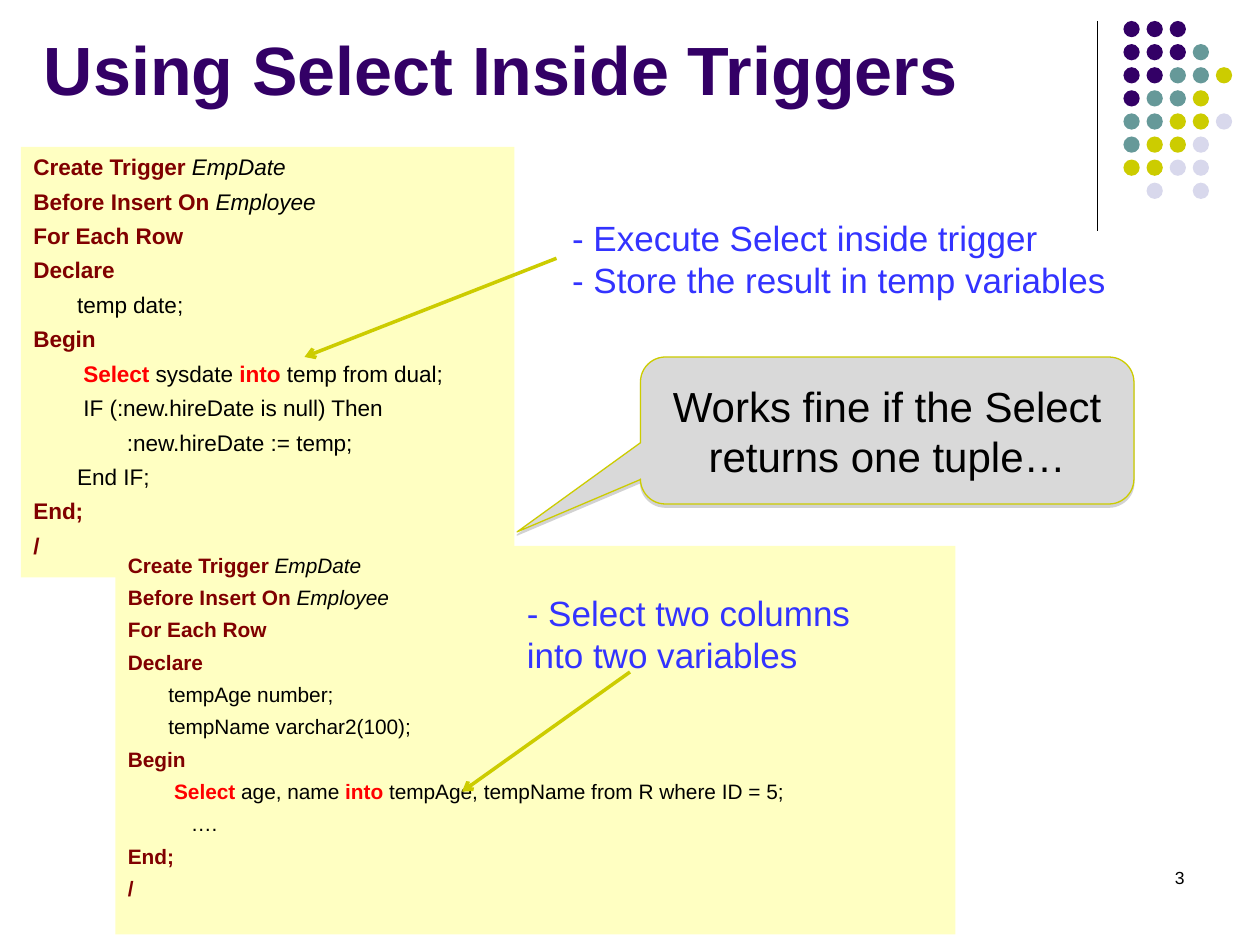
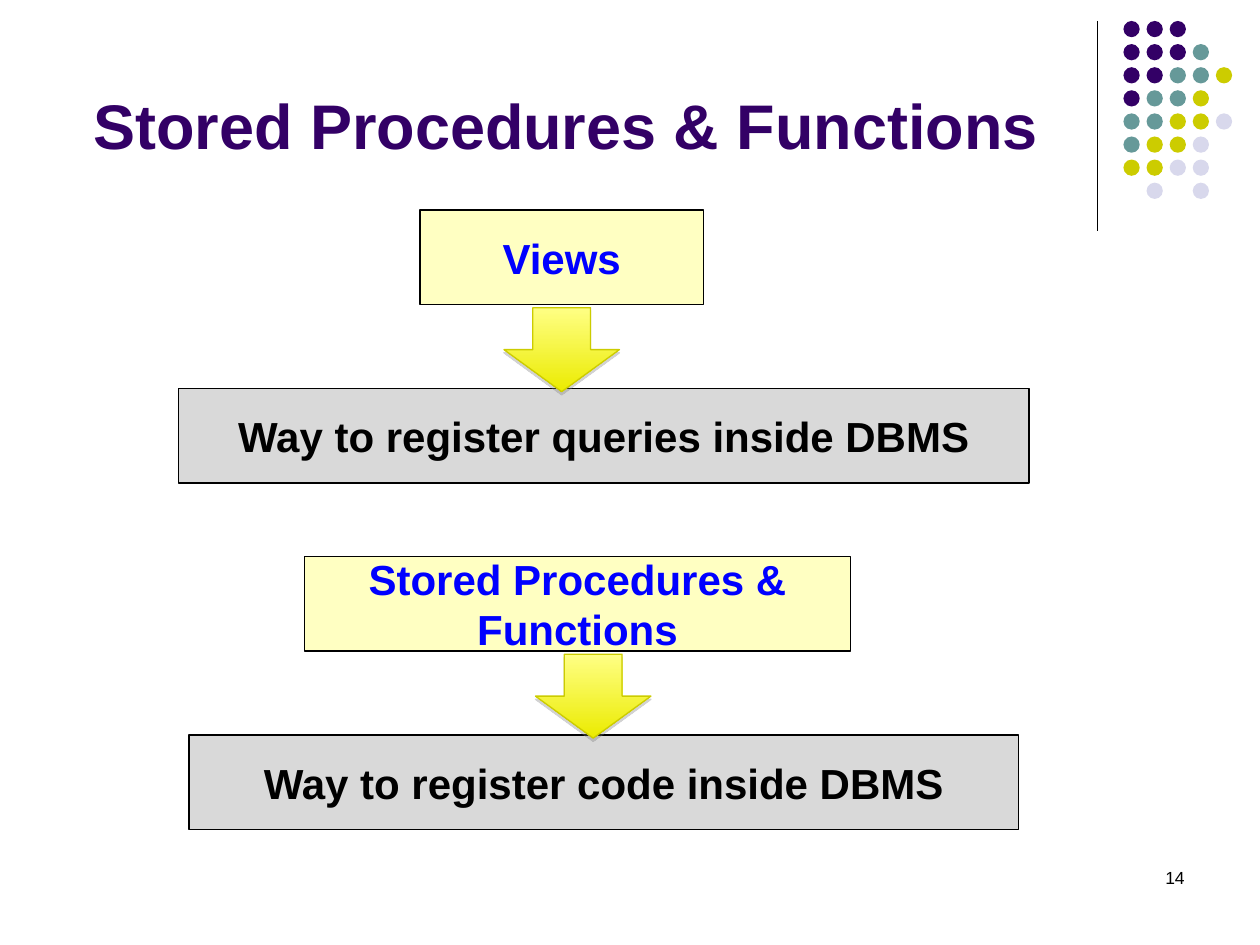
"""Build two slides on selecting inside triggers and on stored procedures."""
from lxml import etree
from pptx import Presentation, util as u
from pptx.dml.color import RGBColor
from pptx.enum import shapes, text
from pptx.oxml import ns

PLUM = RGBColor(0x33, 0x00, 0x66)
TEAL = RGBColor(0x66, 0x99, 0x99)
OLIVE = RGBColor(0xCC, 0xCC, 0x00)
MIST = RGBColor(0xD8, 0xD8, 0xEC)
CREAM = RGBColor(0xFF, 0xFF, 0xC2)
GREY = RGBColor(0xD9, 0xD9, 0xD9)
LEMON = RGBColor(0xFF, 0xFF, 0x85)
GOLD = RGBColor(0xEB, 0xEB, 0x00)
BLACK = RGBColor(0x00, 0x00, 0x00)
MAROON = RGBColor(0x80, 0x00, 0x00)
RED = RGBColor(0xFF, 0x00, 0x00)
BLUE = RGBColor(0x00, 0x00, 0xFF)
INDIGO = RGBColor(0x33, 0x33, 0xFF)

DOTS = ["PPP", "PPPT", "PPTTO", "PTTO", "TTOOM", "TOOM", "OOMM", " M M"]
TINTS = {"P": PLUM, "T": TEAL, "O": OLIVE, "M": MIST}

CODE = {
    "key": {"color": MAROON, "bold": True},
    "hot": {"color": RED, "bold": True},
    "name": {"italic": True},
    "text": {},
}
HEAD = [
    [("key", "Create Trigger "), ("name", "EmpDate")],
    [("key", "Before Insert On "), ("name", "Employee")],
    [("key", "For Each Row")],
    [("key", "Declare")],
]
BEGIN = [("key", "Begin")]
TAIL = [[("key", "End;")], [("key", "/")]]
DATE = HEAD + [
    [("text", "       temp date;")],
    BEGIN,
    [("text", "        "), ("hot", "Select"), ("text", " sysdate "),
     ("hot", "into"), ("text", " temp from dual;")],
    [("text", "        IF (:new.hireDate is null) Then")],
    [("text", "               :new.hireDate := temp;")],
    [("text", "       End IF;")],
] + TAIL
PAIR = HEAD + [
    [("text", "       tempAge number;")],
    [("text", "       tempName varchar2(100);")],
    BEGIN,
    [("text", "        "), ("hot", "Select "), ("text", "age, name "),
     ("hot", "into"), ("text", " tempAge, tempName from R where ID = 5;")],
    [("text", "\t….")],
] + TAIL

NOTES = ["- Execute Select inside trigger", "- Store the result in temp variables"]
FLOWS = [
    {"row": 20, "top": (40, 27, "Views"), "arrow": 48,
     "low": (17, 81, "Way to register queries inside DBMS")},
    {"row": 53, "top": (29, 52, "Stored Procedures & Functions"), "arrow": 51,
     "low": (18, 79, "Way to register code inside DBMS")},
]

MID, TOP, LOW = (text.MSO_ANCHOR.MIDDLE, text.MSO_ANCHOR.TOP, text.MSO_ANCHOR.BOTTOM)
LEFT, CENTER, RIGHT = (text.PP_ALIGN.LEFT, text.PP_ALIGN.CENTER, text.PP_ALIGN.RIGHT)
KIND = shapes.MSO_SHAPE


def grid(*cells):
    """Turn cells of a twelfth of an inch into lengths."""
    return [u.Inches(cell / 12) for cell in cells]


def style(font, color=BLACK, **form):
    """Set the font attributes of a run."""
    font.color.rgb = color
    for key, val in {"name": "Arial", "bold": False, **form}.items():
        setattr(font, key, val)


def write(shape, lines, size, align=LEFT, anchor=TOP, gap=0, wrap=True, **form):
    """Fill a shape with lines, each a string or a list of marked runs."""
    frame = shape.text_frame
    frame.word_wrap, frame.vertical_anchor = wrap, anchor
    for num, line in enumerate(lines):
        para = frame.add_paragraph() if num else frame.paragraphs[0]
        para.alignment = align
        para.space_before = u.Pt(gap if num else 0)
        for mark, words in [("text", line)] if isinstance(line, str) else line:
            run = para.add_run()
            run.text = words
            style(run.font, size=u.Pt(size), **{**form, **CODE[mark]})
    return shape


def label(slide, box, lines, size, **form):
    """Add a text box."""
    return write(slide.shapes.add_textbox(*grid(*box)), lines, size, **form)


def block(host, kind, box, fill, line=None):
    """Add a preset shape with a plain fill and an optional thin line."""
    shape = host.shapes.add_shape(kind, *grid(*box))
    shape.shadow.inherit = False
    shape.fill.solid()
    shape.fill.fore_color.rgb = fill
    if line is None:
        shape.line.fill.background()
    else:
        shape.line.color.rgb = line
        shape.line.width = u.Pt(0.75)
    return shape


def shade(shape):
    """Drop a short hard shadow below a shape."""
    fx = shape._element.spPr.find(ns.qn("a:effectLst"))
    drop = etree.SubElement(fx, ns.qn("a:outerShdw"), blurRad="0", dist=str(u.Pt(1.8)),
                            dir="5400000", rotWithShape="0")
    tone = etree.SubElement(drop, ns.qn("a:srgbClr"), val="808080")
    etree.SubElement(tone, ns.qn("a:alpha"), val="35000")


def link(slide, ends, color, width, arrow=False):
    """Draw a straight line, with an arrowhead at its end if asked."""
    line = slide.shapes.add_connector(shapes.MSO_CONNECTOR.STRAIGHT, *grid(*ends))
    line.line.color.rgb = color
    line.line.width = u.Pt(width)
    if arrow:
        etree.SubElement(line.line._get_or_add_ln(), ns.qn("a:tailEnd"), type="arrow")
    etree.SubElement(line._element.spPr, ns.qn("a:effectLst"))


def base(deck, title, box, size, page, inset=0.1):
    """Add a slide with the dot motif, title and page number."""
    slide = deck.slides.add_slide(deck.slide_layouts[6])
    link(slide, (104.5, 2, 104.5, 22), BLACK, 0.75)
    motif = slide.shapes.add_group_shape()
    for row, marks in enumerate(DOTS):
        for col, mark in enumerate(marks):
            if mark in TINTS:
                spot = (107 + 2.2 * col, 2 + 2.2 * row, 1.55, 1.55)
                block(motif, KIND.OVAL, spot, TINTS[mark])
    head = label(slide, box, [title], size, anchor=LOW, color=PLUM, bold=True)
    head.text_frame.margin_left = u.Inches(inset)
    label(slide, (86, 82, 28, 6), [str(page)], 10, align=RIGHT)
    return slide


def trigger(deck):
    """Show two triggers that select into variables."""
    slide = base(deck, "Using Select Inside Triggers", (3, 0, 99, 11), 39, 3)
    write(block(slide, KIND.RECTANGLE, (2, 14, 47, 41), CREAM), DATE, 12.9, gap=4.2)
    link(slide, (53, 24.6, 29, 34), OLIVE, 2, True)
    label(slide, (53.3, 20, 53.3, 9.2), NOTES, 20, wrap=False, color=INDIGO)
    write(block(slide, KIND.RECTANGLE, (11, 52, 80, 37), CREAM), PAIR, 11.9, gap=4.2)
    label(slide, (49, 55.7, 37, 9.2), ["- Select two columns into two variables"], 20,
          color=INDIGO)
    link(slide, (60, 64, 44, 75.4), OLIVE, 2, True)
    call = block(slide, KIND.ROUNDED_RECTANGULAR_CALLOUT, (61, 34, 47, 14), GREY, OLIVE)
    for num, val in enumerate((-0.75, 0.69, 0.17)):
        call.adjustments[num] = val
    shade(call)
    write(call, ["Works fine if the Select returns one tuple…"], 24, align=CENTER, anchor=MID)


def stored(deck):
    """Show what views and stored procedures register."""
    slide = base(deck, "Stored Procedures & Functions", (6, 1.6, 99, 14.4), 36, 14, 0.24)
    for flow in FLOWS:
        for part, drop, fill, color in (("top", 0, CREAM, BLUE), ("low", 17, GREY, BLACK)):
            left, wide, words = flow[part]
            box = block(slide, KIND.RECTANGLE, (left, flow["row"] + drop, wide, 9), fill, BLACK)
            write(box, [words], 24, align=CENTER, anchor=MID, color=color, bold=True)
        spot = (flow["arrow"], flow["row"] + 9.3, 11, 8)
        arrow = block(slide, KIND.DOWN_ARROW, spot, LEMON, OLIVE)
        arrow.fill.gradient()
        arrow.fill.gradient_angle = 270
        for stop, color, place in zip(arrow.fill.gradient_stops, (LEMON, GOLD), (0, 1)):
            stop.color.rgb, stop.position = color, place
        shade(arrow)


def main():
    """Build and save the deck."""
    deck = Presentation()
    deck.slide_width, deck.slide_height = grid(120, 90)
    trigger(deck)
    stored(deck)
    deck.save("out.pptx")


if __name__ == "__main__":
    main()
